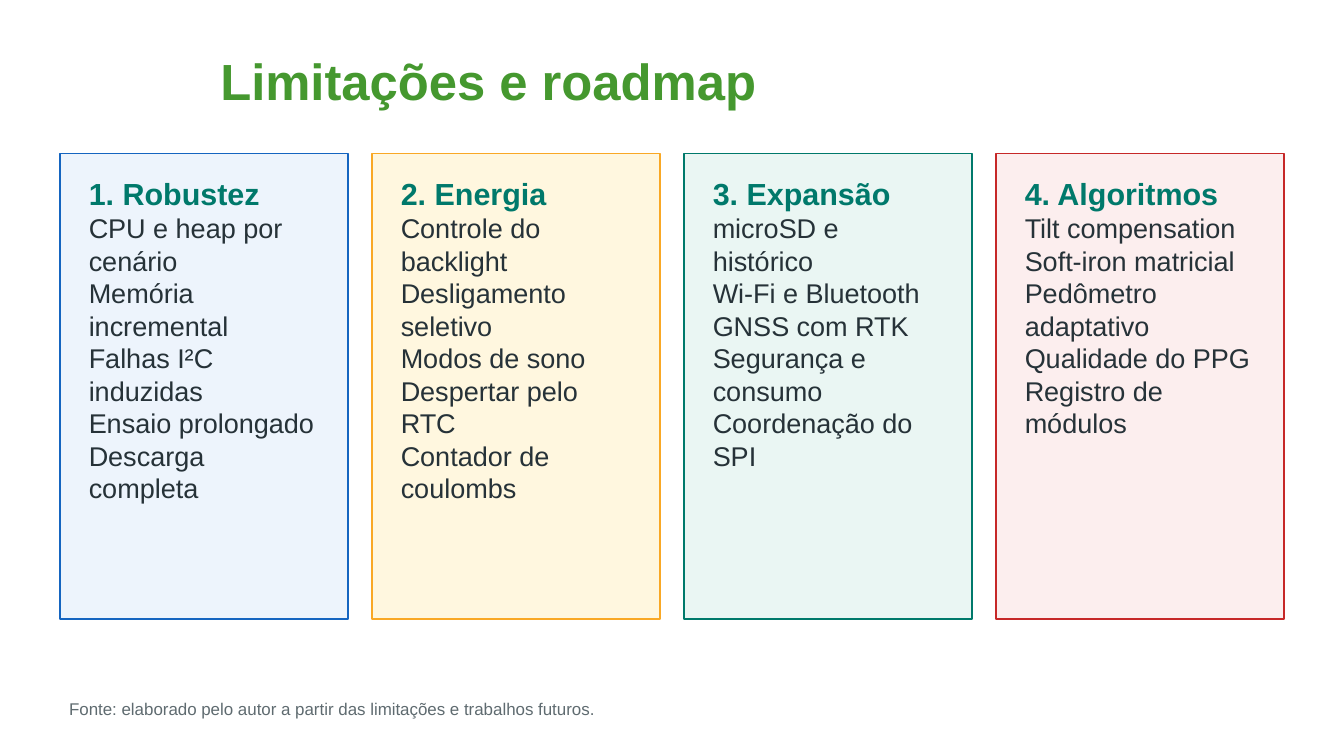
from pptx import Presentation
from pptx.dml.color import RGBColor as RGB
from pptx.enum.shapes import MSO_SHAPE as SHAPE
from pptx.util import Cm, Pt

GREEN = RGB(0x45, 0x98, 0x2F)
TEAL = RGB(0x00, 0x79, 0x6B)
INK = RGB(0x26, 0x32, 0x38)
GREY = RGB(0x5F, 0x6B, 0x70)
BLUE = RGB(0x15, 0x65, 0xC0)
AMBER = RGB(0xF9, 0xA8, 0x25)
RED = RGB(0xC6, 0x28, 0x28)
PALE_BLUE = RGB(0xED, 0xF4, 0xFC)
PALE_AMBER = RGB(0xFF, 0xF7, 0xDF)
PALE_TEAL = RGB(0xEA, 0xF6, 0xF3)
PALE_RED = RGB(0xFC, 0xEE, 0xEE)

TITLE = {"size": Pt(30), "bold": True, "color": GREEN}
HEADING = {"size": Pt(18), "bold": True, "color": TEAL}
BODY = {"size": Pt(16), "color": INK}
SOURCE = {"size": Pt(10), "color": GREY}

CARDS = [
    ("1. Robustez", PALE_BLUE, BLUE,
     ["CPU e heap por cenário", "Memória incremental", "Falhas I²C induzidas",
      "Ensaio prolongado", "Descarga completa"]),
    ("2. Energia", PALE_AMBER, AMBER,
     ["Controle do backlight", "Desligamento seletivo", "Modos de sono",
      "Despertar pelo RTC", "Contador de coulombs"]),
    ("3. Expansão", PALE_TEAL, TEAL,
     ["microSD e histórico", "Wi-Fi e Bluetooth", "GNSS com RTK",
      "Segurança e consumo", "Coordenação do SPI"]),
    ("4. Algoritmos", PALE_RED, RED,
     ["Tilt compensation", "Soft-iron matricial", "Pedômetro adaptativo",
      "Qualidade do PPG", "Registro de módulos"]),
]


def add_text(s, x, y, w, h, lines, style):
    """Place a text box with one paragraph per line."""
    tf = s.shapes.add_textbox(Cm(x), Cm(y), Cm(w), Cm(h)).text_frame
    tf.word_wrap = True
    for i, line in enumerate(lines):
        p = tf.paragraphs[0] if i == 0 else tf.add_paragraph()
        r = p.add_run()
        r.text = line
        r.font.name = "Arial"
        for key, value in style.items():
            if key == "color":
                r.font.color.rgb = value
            else:
                setattr(r.font, key, value)


def add_card(s, x, y, w, h, heading, fill, line, items):
    """Place a coloured panel with its heading and items."""
    sp = s.shapes.add_shape(SHAPE.RECTANGLE, Cm(x), Cm(y), Cm(w), Cm(h))
    sp.shadow.inherit = False
    sp.fill.solid()
    sp.fill.fore_color.rgb = fill
    sp.line.color.rgb = line
    sp.line.width = Pt(1)
    pad = 0.35
    add_text(s, x + pad, y + 0.33, w - 2 * pad, 0.97, [heading], HEADING)
    add_text(s, x + pad, y + 1.09, w - 2 * pad, h - 1.34, items, BODY)


def add_cards(s, x, y, w, h, gap=0.5):
    """Share the box equally among the cards."""
    card_w = (w - gap * (len(CARDS) - 1)) / len(CARDS)
    for i, card in enumerate(CARDS):
        add_card(s, x + i * (card_w + gap), y, card_w, h, *card)


def main():
    prs = Presentation()
    prs.slide_width, prs.slide_height = Cm(28), Cm(15.75)
    s = prs.slides.add_slide(prs.slide_layouts[6])
    # Title
    add_text(s, 4.34, 0.91, 22, 1.42, ["Limitações e roadmap"], TITLE)
    # Roadmap cards
    add_cards(s, 1.25, 3.2, 25.5, 9.7)
    # Source line
    add_text(s, 1.19, 14.43, 25.5, 0.64,
             ["Fonte: elaborado pelo autor a partir das limitações e trabalhos futuros."],
             SOURCE)
    prs.save("out.pptx")


if __name__ == "__main__":
    main()
